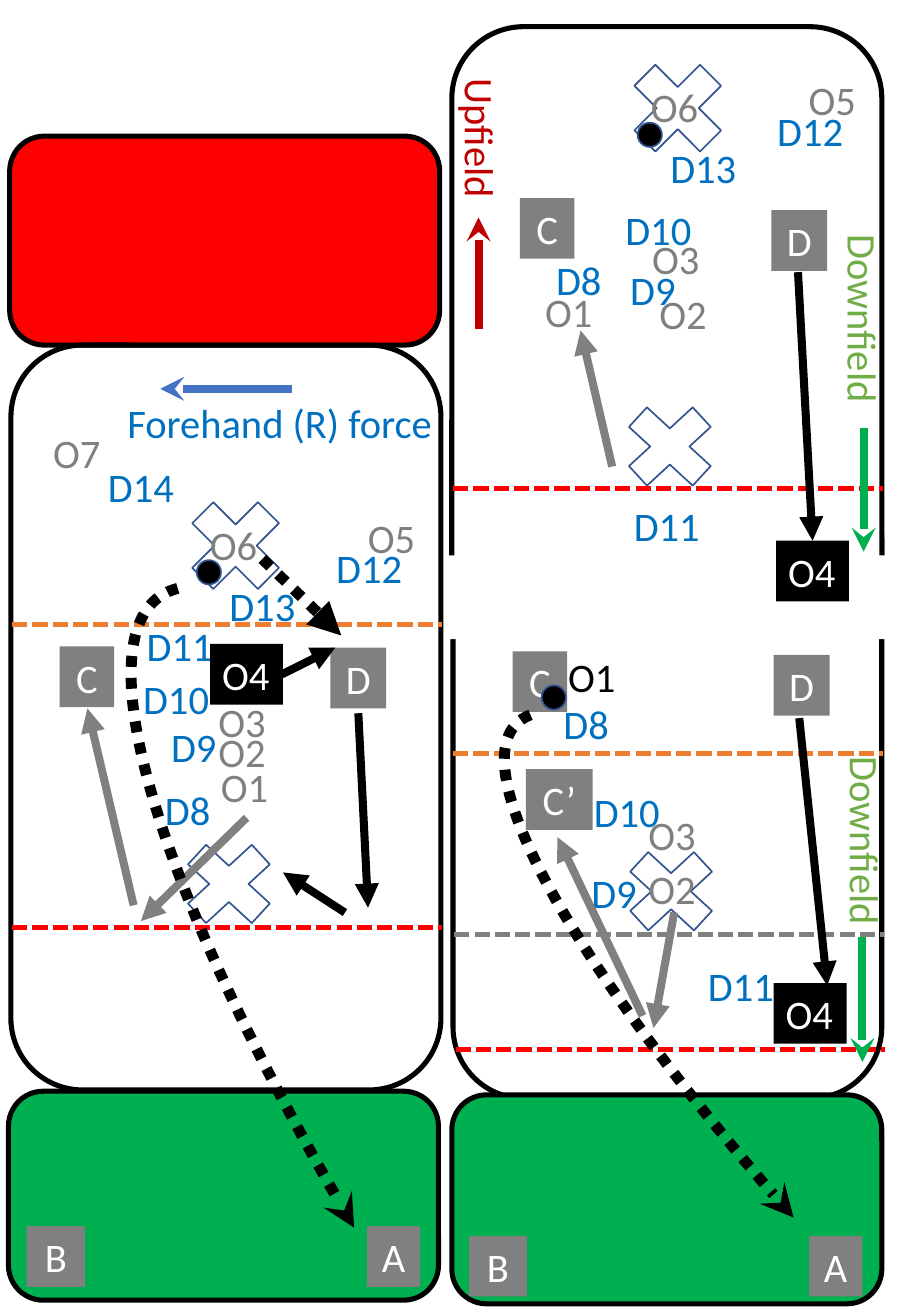
import pptx
import pptx.util
import pptx.dml.color
import pptx.enum.dml
import pptx.enum.shapes
import pptx.enum.text
import pptx.oxml.ns
import lxml.etree

Inches = pptx.util.Inches
RGB = pptx.dml.color.RGBColor.from_string
SHAPE = pptx.enum.shapes.MSO_SHAPE
DASH = pptx.enum.dml.MSO_LINE.SQUARE_DOT
DOT = pptx.enum.dml.MSO_LINE.ROUND_DOT
ALIGN = pptx.enum.text.PP_ALIGN
COLORS = {
    "black": "000000", "white": "FFFFFF", "gray": "808080", "red": "FF0000",
    "endzone": "00B050", "defence": "0070C0", "edge": "325491", "force": "4472C4",
    "orange": "ED7D31", "upfield": "C00000", "downfield": "70AD47",
}

deck = pptx.Presentation()
deck.slide_width, deck.slide_height = Inches(7.5), Inches(10.83)
slide = deck.slides.add_slide(deck.slide_layouts[6])
shapes = slide.shapes


def outline(item, color, width, dash=None, arrow=None):
    """Style the line of a shape or connector and remove its shadow."""
    item.line.color.rgb = RGB(COLORS[color])
    item.line.width = pptx.util.Pt(width)
    if dash:
        item.line.dash_style = dash
    qn = pptx.oxml.ns.qn
    if arrow:
        lxml.etree.SubElement(item.line._get_or_add_ln(), qn("a:tailEnd"), type=arrow)
    lxml.etree.SubElement(item._element.spPr, qn("a:effectLst"))


def write(text, left, top, width, height=0.5, color="white", fill=None,
          align=ALIGN.LEFT, rotation=0, wrap=True):
    """Put text in a text box, or in a filled square when fill is given."""
    box = Inches(left), Inches(top), Inches(width), Inches(height)
    if fill:
        label = shapes.add_shape(SHAPE.RECTANGLE, *box)
        label.fill.solid()
        label.fill.fore_color.rgb = RGB(COLORS[fill])
        label.line.fill.background()
        label.shadow.inherit = False
    else:
        label = shapes.add_textbox(*box)
    label.rotation = rotation
    frame = label.text_frame
    frame.word_wrap = wrap
    frame.auto_size = pptx.enum.text.MSO_AUTO_SIZE.SHAPE_TO_FIT_TEXT
    paragraph = frame.paragraphs[0]
    paragraph.alignment = align
    run = paragraph.add_run()
    run.text = text
    run.font.name = "Calibri"
    run.font.size = pptx.util.Pt(24)
    run.font.color.rgb = RGB(COLORS[color])


# Fields and end zones; the white band opens the gap in the right-hand field
for left, top, width, height, fill in [
    (3.73, 3.85, 3.53, 5.19, None),
    (3.72, 0.22, 3.54, 5, "white"),
    (3.72, 9.01, 3.54, 1.72, "endzone"),
    (0.07, 8.98, 3.54, 1.72, "endzone"),
    (0.08, 1.12, 3.54, 1.72, "red"),
    (0.09, 2.84, 3.54, 6.13, None),
]:
    zone = shapes.add_shape(SHAPE.ROUNDED_RECTANGLE, Inches(left), Inches(top),
                            Inches(width), Inches(height))
    if fill:
        zone.fill.solid()
        zone.fill.fore_color.rgb = RGB(COLORS[fill])
    else:
        zone.fill.background()
    outline(zone, "black", 3)
gap = shapes.add_shape(SHAPE.RECTANGLE, Inches(3.69), Inches(4.57), Inches(3.7), Inches(0.69))
gap.fill.solid()
gap.fill.fore_color.rgb = RGB(COLORS["white"])
gap.line.fill.background()
gap.shadow.inherit = False

for left, top, width, height in [
    (1.38, 6.81, 1.01, 0.93), (1.42, 3.97, 1.04, 1.04),
    (5.01, 3.21, 1.01, 0.93), (5.06, 0.37, 1.04, 1.04), (5.02, 6.87, 1.01, 0.93),
]:
    cross = shapes.add_shape(SHAPE.MATH_MULTIPLY, Inches(left), Inches(top),
                             Inches(width), Inches(height))
    cross.fill.background()
    outline(cross, "edge", 1)

for left, y, color in [
    (0.1, 7.63, "red"), (0.1, 5.14, "orange"), (3.73, 4.02, "red"),
    (3.74, 7.69, "gray"), (3.75, 8.64, "red"), (3.73, 6.2, "orange"),
]:
    yard_line = shapes.add_connector(pptx.enum.shapes.MSO_CONNECTOR.STRAIGHT, Inches(left),
                                     Inches(y), Inches(left + 3.54), Inches(y))
    outline(yard_line, color, 3, DASH)

# Players: offence in gray, defence in blue
PLAYER_WIDTHS = {
    "O1": 0.63, "O2": 0.79, "O3": 0.79, "O5": 0.67, "O6": 0.92, "O7": 0.83, "D8": 0.79,
    "D9": 0.79, "D10": 0.75, "D11": 0.77, "D12": 0.77, "D13": 0.8, "D14": 1.04,
}
players = [
    ("O2", 1.7, 5.93), ("O1", 1.72, 6.22), ("O3", 1.7, 5.69), ("O7", 0.34, 3.47),
    ("D8", 1.26, 6.41), ("D9", 1.31, 5.89), ("D10", 1.08, 5.5), ("D11", 1.11, 5.06),
    ("D14", 0.79, 3.75),
    ("O2", 5.33, 2.33), ("O1", 4.39, 2.31), ("O3", 5.27, 1.88),
    ("D8", 4.48, 2.05), ("D9", 5.09, 2.13), ("D10", 5.05, 1.64), ("D11", 5.12, 4.07),
    ("O2", 5.24, 7.06), ("O3", 5.24, 6.62),
    ("D8", 4.54, 5.7), ("D9", 4.77, 7.09), ("D10", 4.79, 6.43), ("D11", 5.73, 7.86),
]
for dx, dy in [(0, 0), (3.63, -3.6)]:
    players += [(name, left + dx, top + dy) for name, left, top in [
        ("O6", 1.63, 4.23), ("O5", 2.93, 4.17), ("D12", 2.67, 4.42), ("D13", 1.79, 4.73)]]
for name, left, top in players:
    write(name, left, top, PLAYER_WIDTHS[name],
          color="gray" if name.startswith("O") else "defence")

for left, top in [(1.73, 5.3), (6.39, 4.45), (6.37, 8.09)]:
    write("O4", left, top, 0.6, fill="black", wrap=False)

for name, left, top, width in [
    ("A", 3.02, 10.09, 0.44), ("B", 0.22, 10.09, 0.48), ("C", 0.49, 5.32, 0.45),
    ("D", 2.72, 5.33, 0.46), ("D", 6.35, 1.73, 0.46), ("C", 4.28, 1.63, 0.45),
    ("C", 4.22, 5.36, 0.45), ("D", 6.37, 5.39, 0.46), ("C’", 4.33, 6.33, 0.55),
    ("A", 6.66, 10.17, 0.44), ("B", 3.86, 10.17, 0.48),
]:
    write(name, left, top, width, fill="gray", align=ALIGN.CENTER)

write("O1", 4.58, 5.32, 0.63, color="black")
write("Forehand (R) force", 0.95, 3.23, 2.84, color="defence")
write("Upfield", 3.29, 0.97, 1.34, color="upfield", rotation=90)
write("Downfield", 6.25, 2.44, 1.72, color="downfield", rotation=90)
write("Downfield", 6.27, 6.74, 1.72, color="downfield", rotation=90)

for left, top in [(1.62, 4.61), (5.25, 1.01), (4.46, 5.64)]:
    disc = shapes.add_shape(SHAPE.OVAL, Inches(left), Inches(top), Inches(0.2), Inches(0.2))
    disc.fill.solid()
    disc.fill.fore_color.rgb = RGB(COLORS["black"])
    outline(disc, "edge", 1)

# Directions and runs, each from its start to its arrowhead
for x1, y1, x2, y2, color, arrow in [
    (2.4, 3.2, 1.32, 3.2, "force", "stealth"),
    (3.94, 2.71, 3.94, 1.79, "upfield", "stealth"),
    (7.11, 3.52, 7.11, 4.54, "endzone", "stealth"),
    (7.1, 7.71, 7.1, 8.74, "endzone", "stealth"),
    (2.03, 6.73, 1.16, 7.58, "gray", "triangle"),
    (1.1, 7.45, 0.72, 5.83, "gray", "triangle"),
    (2.32, 5.55, 2.76, 5.33, "black", "triangle"),
    (2.95, 5.87, 3.03, 7.47, "black", "triangle"),
    (2.84, 7.51, 2.33, 7.18, "black", "triangle"),
    (5.04, 3.84, 4.78, 2.72, "gray", "triangle"),
    (6.57, 2.24, 6.69, 4.45, "black", "triangle"),
    (6.58, 5.91, 6.81, 8.11, "black", "triangle"),
    (5.55, 7.51, 5.38, 8.46, "gray", "triangle"),
    (5.29, 8.36, 4.59, 6.89, "gray", "triangle"),
]:
    run_line = shapes.add_connector(pptx.enum.shapes.MSO_CONNECTOR.STRAIGHT, Inches(x1),
                                    Inches(y1), Inches(x2), Inches(y2))
    outline(run_line, color, 4.75, arrow=arrow)

# Throws: one straight pass and two long curved ones
short_pass = shapes.add_connector(pptx.enum.shapes.MSO_CONNECTOR.STRAIGHT, Inches(2.16),
                                  Inches(4.6), Inches(2.81), Inches(5.23))
outline(short_pass, "black", 6.5, DOT, "triangle")
for left, top, width, height, rotation in [
    (4.33, 3.33, 3.76, 16.75, 324.2), (7.81, 3.85, 2.84, 13.87, 314.1),
]:
    long_throw = shapes.add_shape(SHAPE.ARC, Inches(left), Inches(top),
                                  Inches(width), Inches(height))
    long_throw.adjustments[0] = 161.32
    long_throw.adjustments[1] = 178.96
    long_throw.rotation = rotation
    long_throw._element.spPr.xfrm.set("flipH", "1")
    long_throw.fill.background()
    outline(long_throw, "black", 6.5, DOT, "stealth")

deck.save("out.pptx")
